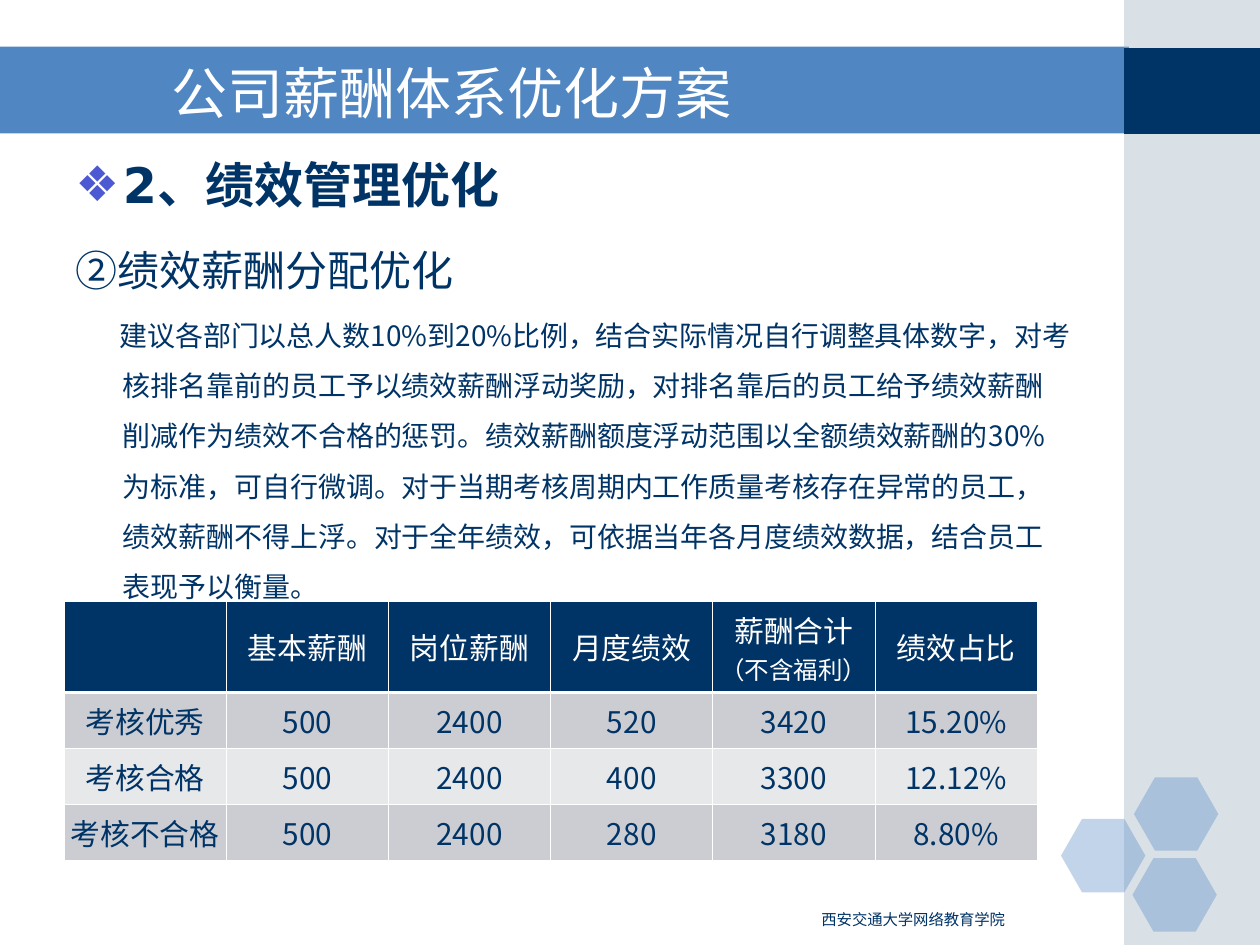
from lxml import etree
from pptx import Presentation
from pptx.dml.color import RGBColor
from pptx.enum.shapes import MSO_SHAPE
from pptx.enum.text import MSO_ANCHOR, PP_ALIGN
from pptx.oxml.ns import qn
from pptx.util import Cm, Pt

RECT, HEXAGON = MSO_SHAPE.RECTANGLE, MSO_SHAPE.HEXAGON
TOP, MIDDLE = MSO_ANCHOR.TOP, MSO_ANCHOR.MIDDLE
CENTER = PP_ALIGN.CENTER

COLORS = {
    "white": "FFFFFF",
    "navy": "003366",
    "blue": "5086C2",
    "panel": "A0B5C4",
    "bullet": "4C59D2",
    "band_dark": "CBCDD3",
    "band_light": "E7E8EA",
}
CJK = "Noto Sans CJK SC"
HEADING = "DejaVu Sans"

HEXAGONS = [(21.39, 16.51), (22.86, 15.67), (22.83, 17.3)]
BODY = (
    "建议各部门以总人数10%到20%比例，结合实际情况自行调整具体数字，"
    "对考核排名靠前的员工予以绩效薪酬浮动奖励，对排名靠后的员工给予绩效薪酬削减作为绩效不合格的惩罚。"
    "绩效薪酬额度浮动范围以全额绩效薪酬的30%为标准，可自行微调。"
    "对于当期考核周期内工作质量考核存在异常的员工，绩效薪酬不得上浮。"
    "对于全年绩效，可依据当年各月度绩效数据，结合员工表现予以衡量。"
)
NOTE = "（不含福利）"
TABLE = [
    ["", "基本薪酬", "岗位薪酬", "月度绩效", "薪酬合计", "绩效占比"],
    ["考核优秀", "500", "2400", "520", "3420", "15.20%"],
    ["考核合格", "500", "2400", "400", "3300", "12.12%"],
    ["考核不合格", "500", "2400", "280", "3180", "8.80%"],
]
ROW_FILLS = ["navy", "band_dark", "band_light", "band_dark"]
ROW_HEIGHTS = [1.84, 1.13, 1.13, 1.13]


def rgb(name):
    return RGBColor.from_string(COLORS[name])


def add_block(s, kind, x, y, w, h, color, alpha=None):
    sp = s.shapes.add_shape(kind, Cm(x), Cm(y), Cm(w), Cm(h))
    sp.shadow.inherit = False
    sp.fill.solid()
    sp.fill.fore_color.rgb = rgb(color)
    sp.line.fill.background()
    if alpha is not None:
        clr = sp.fill._xPr.find(".//" + qn("a:srgbClr"))
        etree.SubElement(clr, qn("a:alpha"), val=str(alpha * 1000))
    return sp


def format_run(r, size, color, font=CJK, bold=False):
    r.font.size = Pt(size)
    r.font.bold = bold
    r.font.name = font
    r.font.color.rgb = rgb(color)
    etree.SubElement(r._r.get_or_add_rPr(), qn("a:ea"), typeface=CJK)


def add_text(s, x, y, w, h, anchor=TOP):
    tf = s.shapes.add_textbox(Cm(x), Cm(y), Cm(w), Cm(h)).text_frame
    tf.word_wrap = True
    tf.vertical_anchor = anchor
    return tf


def write(p, text, size, color, font=CJK, bold=False):
    p.text = text
    for r in p.runs:
        format_run(r, size, color, font, bold)


def set_indent(p, left, first):
    pPr = p._p.get_or_add_pPr()
    pPr.set("marL", str(Cm(left)))
    pPr.set("indent", str(Cm(first)))


def set_bullet(p, char, color, font):
    pPr = p._p.get_or_add_pPr()
    clr = etree.SubElement(pPr, qn("a:buClr"))
    etree.SubElement(clr, qn("a:srgbClr"), val=COLORS[color])
    etree.SubElement(pPr, qn("a:buFont"), typeface=font)
    etree.SubElement(pPr, qn("a:buChar"), char=char)


def set_borders(cell, widths):
    tcPr = cell._tc.get_or_add_tcPr()
    for i, (side, width) in enumerate(widths.items()):
        ln = etree.Element(qn("a:ln" + side), w=str(Pt(width)))
        fill = etree.SubElement(ln, qn("a:solidFill"))
        etree.SubElement(fill, qn("a:srgbClr"), val=COLORS["white"])
        tcPr.insert(i, ln)


def add_background(s):
    add_block(s, RECT, 0, 0.94, 22.76, 1.75, "blue")
    add_block(s, RECT, 22.66, 0, 2.74, 19.05, "panel", 40)
    add_block(s, RECT, 22.66, 0.97, 2.74, 1.73, "navy")
    for x, y in HEXAGONS:
        sp = add_block(s, HEXAGON, x, y, 1.7, 1.48, "blue", 35)
        sp.adjustments[0] = 0.286


def add_body(s):
    tf = add_text(s, 1.27, 3, 20.57, 14.58)
    p = tf.paragraphs[0]
    set_indent(p, 0.96, -0.96)
    set_bullet(p, "❖", "bullet", HEADING)
    write(p, "2、绩效管理优化", 28, "navy", HEADING, True)

    p = tf.add_paragraph()
    set_indent(p, 0.96, -0.96)
    p.line_spacing = 1.4
    p.space_before = Pt(6)
    write(p, "②绩效薪酬分配优化", 24, "navy")

    p = tf.add_paragraph()
    set_indent(p, 0.96, -0.07)
    p.line_spacing = Pt(28.7)
    p.space_before = Pt(4)
    write(p, BODY, 16, "navy")


def add_pay_table(s):
    rows, cols = len(TABLE), len(TABLE[0])
    table = s.shapes.add_table(
        rows, cols, Cm(1.29), Cm(12.12), Cm(19.62), Cm(sum(ROW_HEIGHTS))).table
    table.first_row = table.horz_banding = False
    for col in table.columns:
        col.width = Cm(3.27)
    for i, (row, values) in enumerate(zip(table.rows, TABLE)):
        row.height = Cm(ROW_HEIGHTS[i])
        for cell, value in zip(row.cells, values):
            cell.fill.solid()
            cell.fill.fore_color.rgb = rgb(ROW_FILLS[i])
            cell.vertical_anchor = MIDDLE
            cell.margin_left = cell.margin_right = Cm(0.03)
            set_borders(cell, {"L": 0.45, "R": 0.45,
                               "T": 1.47 if i == 1 else 0.45,
                               "B": 1.47 if i == 0 else 0.45})
            p = cell.text_frame.paragraphs[0]
            p.alignment = CENTER
            if value:
                write(p, value, 17, "navy" if i else "white")
    r = table.cell(0, 4).text_frame.paragraphs[0].add_run()
    r.text = NOTE
    format_run(r, 14, "white")


def main():
    prs = Presentation()
    prs.slide_width, prs.slide_height = Cm(25.4), Cm(19.05)
    s = prs.slides.add_slide(prs.slide_layouts[6])
    add_background(s)
    p = add_text(s, 16.31, 18.29, 7.24, 0.66).paragraphs[0]
    p.line_spacing = 0.8
    write(p, "西安交通大学网络教育学院", 8.8, "navy", "Arial")
    tf = add_text(s, 3.2, 1.07, 18.62, 1.57, MIDDLE)
    write(tf.paragraphs[0], "公司薪酬体系优化方案", 32, "white")
    add_body(s)
    add_pay_table(s)
    prs.save("out.pptx")


if __name__ == "__main__":
    main()
